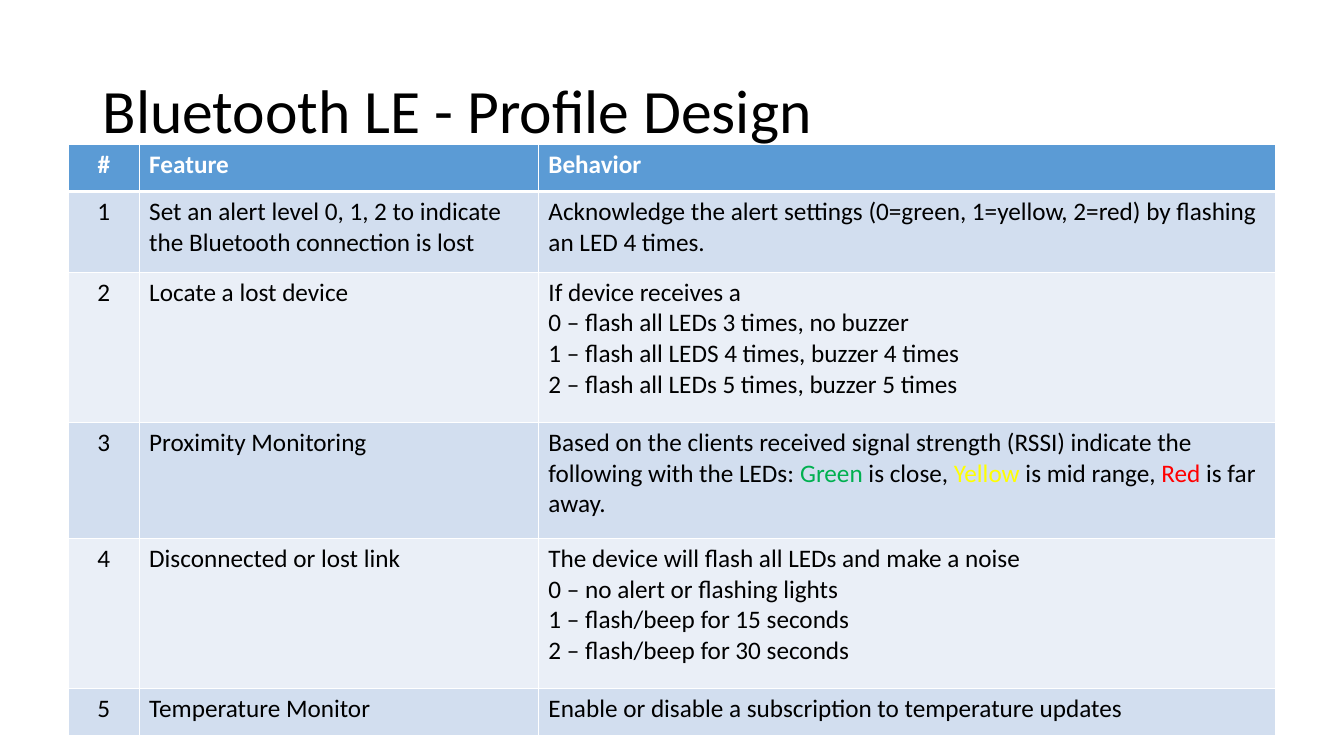
from lxml import etree
from pptx import Presentation
from pptx.dml.color import RGBColor
from pptx.enum.text import MSO_ANCHOR as Anchor, PP_ALIGN as Align
from pptx.oxml.ns import qn
from pptx.util import Inches, Pt

FONT = "Calibri"
COLORS = {
    "text": "000000",
    "white": "FFFFFF",
    "header": "5B9BD5",
    "odd": "D2DEEF",
    "even": "EAEFF7",
    "green": "00B050",
    "yellow": "FFFF00",
    "red": "FF0000",
}
COLUMN_WIDTHS = [0.7, 3.96, 7.31]
ROW_HEIGHTS = [0.47, 0.8, 1.49, 1.15, 1.49, 0.47]
HEADINGS = ["#", "Feature", "Behavior"]
FEATURES = [
    ("Set an alert level 0, 1, 2 to indicate the Bluetooth connection is lost",
     ["Acknowledge the alert settings (0=green, 1=yellow, 2=red) by flashing an LED 4 times."]),
    ("Locate a lost device",
     ["If device receives a",
      "0 – flash all LEDs 3 times, no buzzer",
      "1 – flash all LEDS 4 times, buzzer 4 times",
      "2 – flash all LEDs 5 times, buzzer 5 times"]),
    ("Proximity Monitoring",
     [[("Based on the clients received signal strength (RSSI) indicate the "
        "following with the LEDs: ", "text"),
       ("Green", "green"), (" is close, ", "text"),
       ("Yellow", "yellow"), (" is mid range, ", "text"),
       ("Red", "red"), (" is far away.", "text")]]),
    ("Disconnected or lost link",
     ["The device will flash all LEDs and make a noise",
      "0 – no alert or flashing lights",
      "1 – flash/beep for 15 seconds",
      "2 – flash/beep for 30 seconds"]),
    ("Temperature Monitor",
     ["Enable or disable a subscription to temperature updates"]),
]


def add_run(paragraph, text, size, color, bold=False):
    """Append a formatted run to a paragraph."""
    run = paragraph.add_run()
    run.text = text
    run.font.name = FONT
    run.font.size = Pt(size)
    run.font.bold = bold
    run.font.color.rgb = RGBColor.from_string(COLORS[color])


def set_borders(cell, top, bottom):
    """Draw white borders around a cell, with widths in points."""
    properties = cell._tc.get_or_add_tcPr()
    sides = {"a:lnL": 1, "a:lnR": 1, "a:lnT": top, "a:lnB": bottom}
    for position, (tag, width) in enumerate(sides.items()):
        line = etree.Element(qn(tag), w=str(Pt(width)))
        fill = etree.SubElement(line, qn("a:solidFill"))
        etree.SubElement(fill, qn("a:srgbClr"), val=COLORS["white"])
        properties.insert(position, line)


def fill_cell(cell, paragraphs, fill, color="text", bold=False, align=Align.LEFT):
    """Write paragraphs into a cell, each a string or a list of coloured pieces."""
    cell.fill.solid()
    cell.fill.fore_color.rgb = RGBColor.from_string(COLORS[fill])
    text_frame = cell.text_frame
    for index, content in enumerate(paragraphs):
        paragraph = text_frame.add_paragraph() if index else text_frame.paragraphs[0]
        paragraph.alignment = align
        pieces = [(content, color)] if isinstance(content, str) else content
        for text, piece_color in pieces:
            add_run(paragraph, text, 18, piece_color, bold)


def add_title(slide, left, top, width, height):
    """Place the slide title in the given box."""
    box = slide.shapes.add_textbox(Inches(left), Inches(top), Inches(width), Inches(height))
    text_frame = box.text_frame
    text_frame.word_wrap = True
    text_frame.vertical_anchor = Anchor.MIDDLE
    paragraph = text_frame.paragraphs[0]
    paragraph.line_spacing = 0.9
    add_run(paragraph, "Bluetooth LE - Profile Design", 44, "text")


def add_feature_table(slide, left, top, width, height):
    """Place the table of features and behaviors in the given box."""
    table = slide.shapes.add_table(
        len(ROW_HEIGHTS), len(COLUMN_WIDTHS),
        Inches(left), Inches(top), Inches(width), Inches(height)).table
    for column, column_width in zip(table.columns, COLUMN_WIDTHS):
        column.width = Inches(column_width)
    for row, row_height in zip(table.rows, ROW_HEIGHTS):
        row.height = Inches(row_height)

    rows = [[[heading] for heading in HEADINGS]]
    rows += [[[str(number)], [feature], behavior]
             for number, (feature, behavior) in enumerate(FEATURES, 1)]
    for row_index, contents in enumerate(rows):
        is_header = row_index == 0
        fill = "header" if is_header else ("even", "odd")[row_index % 2]
        for column_index, paragraphs in enumerate(contents):
            cell = table.cell(row_index, column_index)
            fill_cell(cell, paragraphs, fill,
                      color="white" if is_header else "text", bold=is_header,
                      align=Align.LEFT if column_index else Align.CENTER)
            set_borders(cell, top=3 if row_index == 1 else 1, bottom=3 if is_header else 1)


def main():
    """Build the profile design slide and save it."""
    presentation = Presentation()
    presentation.slide_width = Inches(13.33)
    presentation.slide_height = Inches(7.5)
    slide = presentation.slides.add_slide(presentation.slide_layouts[6])
    add_title(slide, 0.92, 0.4, 11.5, 1.45)
    add_feature_table(slide, 0.68, 1.43, sum(COLUMN_WIDTHS), sum(ROW_HEIGHTS))
    presentation.save("out.pptx")


if __name__ == "__main__":
    main()
